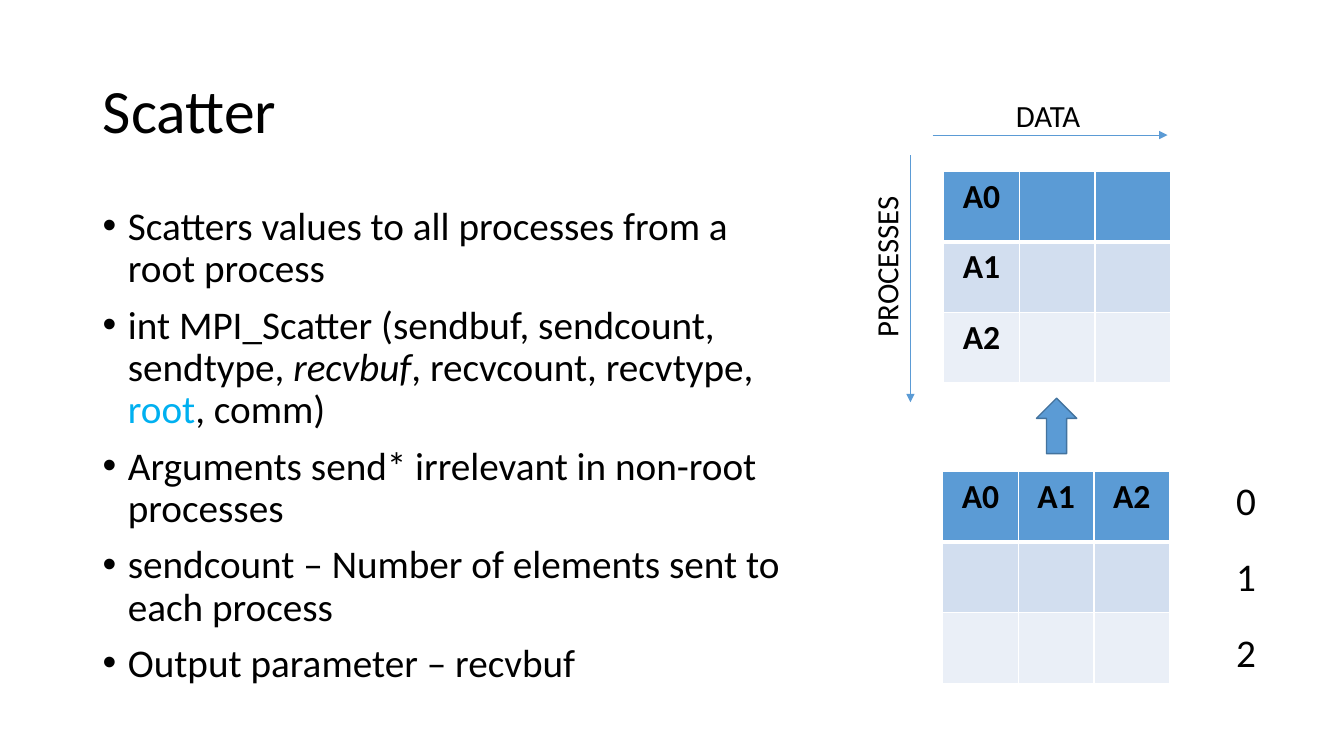
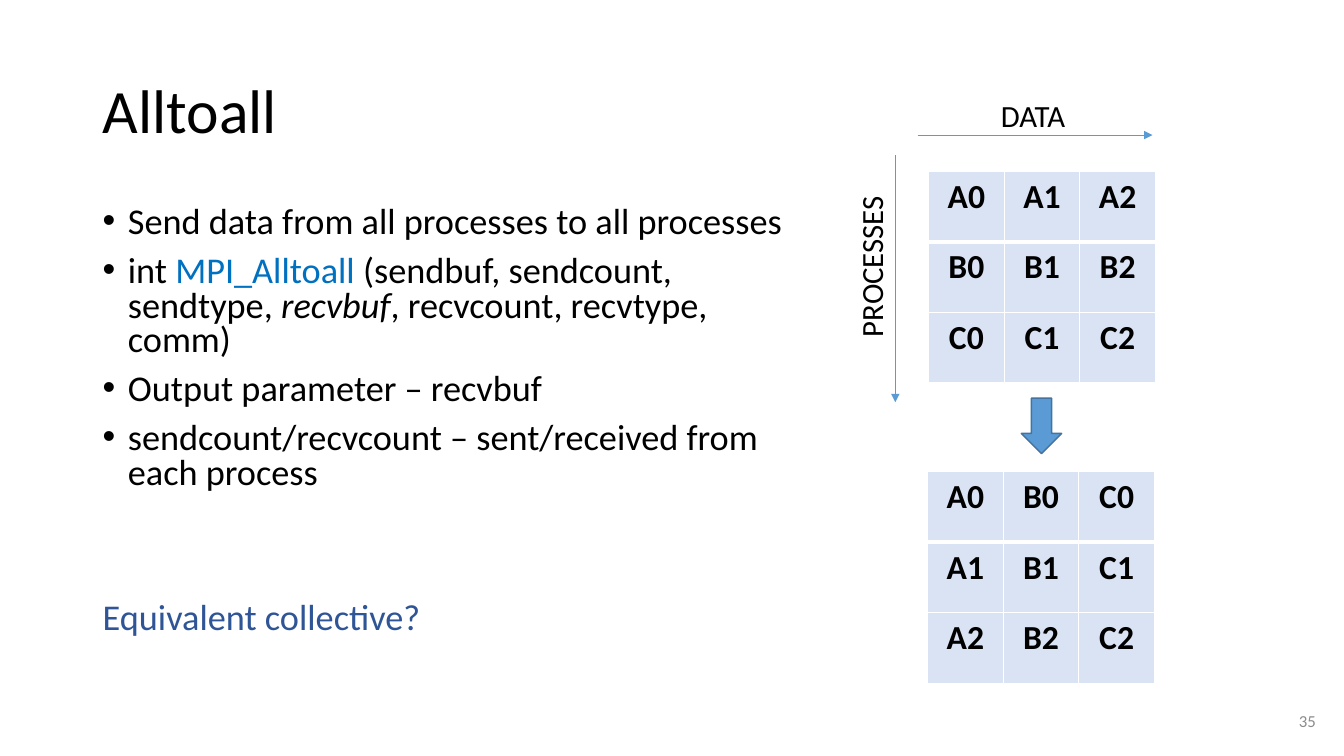
from lxml import etree
from pptx import Presentation
from pptx.dml.color import RGBColor
from pptx.enum.shapes import MSO_CONNECTOR, MSO_SHAPE
from pptx.enum.text import MSO_ANCHOR, PP_ALIGN
from pptx.oxml.ns import qn
from pptx.util import Inches, Pt

LEFT, CENTER, RIGHT = PP_ALIGN.LEFT, PP_ALIGN.CENTER, PP_ALIGN.RIGHT
MIDDLE, TOP = MSO_ANCHOR.MIDDLE, MSO_ANCHOR.TOP
UP, DOWN = MSO_SHAPE.UP_ARROW, MSO_SHAPE.DOWN_ARROW
STRAIGHT = MSO_CONNECTOR.STRAIGHT

# Shared look
FONT = "Calibri"
COLORS = {
    "text": "000000", "white": "FFFFFF", "accent": "5B9BD5", "outline": "43739E",
    "band": "D2DEEF", "light": "EAEFF7", "pale": "DAE3F3", "cyan": "00B0F0",
    "blue": "0070C0", "navy": "2F5597", "grey": "8C8C8C",
}
MARGIN, CELL_W, CELL_H = 0.92, 0.75, 0.7
UPPER_Y, LOWER_Y = 1.7, 4.68

# Content: a paragraph is a list of (text, colour, italic) runs
SLIDES = [
    {
        "title": "Scatter",
        "bullets": [
            [("Scatters values to all processes from a root process",)],
            [("int MPI_Scatter (sendbuf, sendcount, sendtype, ",), ("recvbuf", "text", True),
             (", recvcount, recvtype, ",), ("root", "cyan"), (", comm)",)],
            [("Arguments send* irrelevant in non-root processes",)],
            [("sendcount – Number of elements sent to each process",)],
            [("Output parameter – recvbuf",)],
        ],
        "body": {"width": 7.08, "size": 28, "spacing": 0.9},
        "grid_x": 9.36,
        "upper": [["A0", "", ""], ["A1", "", ""], ["A2", "", ""]],
        "lower": [["A0", "A1", "A2"], ["", "", ""], ["", "", ""]],
        "fills": ["accent", "band", "light"],
        "arrow": UP,
        "ranks": ["0", "1", "2"],
    },
    {
        "title": "Alltoall",
        "bullets": [
            [("Send data from all processes to all processes",)],
            [("int ",), ("MPI_Alltoall", "blue"), (" (sendbuf, sendcount, sendtype, ",),
             ("recvbuf", "text", True), (", recvcount, recvtype, comm)",)],
            [("Output parameter – recvbuf",)],
            [("sendcount/recvcount – sent/received from each process",)],
        ],
        "question": [("Equivalent collective?", "navy")],
        "body": {"width": 7.24, "size": 25.9, "spacing": 0.8},
        "grid_x": 9.21,
        "upper": [[f"{row}{col}" for col in range(3)] for row in "ABC"],
        "lower": [[f"{col}{row}" for col in "ABC"] for row in range(3)],
        "fills": ["pale"] * 3,
        "arrow": DOWN,
        "number": "35",
    },
]


def rgb(name):
    return RGBColor.from_string(COLORS[name])


def add_run(p, text, size, color="text", italic=False, bold=False):
    r = p.add_run()
    r.text = text
    f = r.font
    f.name, f.size, f.italic, f.bold = FONT, Pt(size), italic, bold
    f.color.rgb = rgb(color)


def add_label(s, box, text, size, color="text", align=CENTER, anchor=TOP):
    sp = s.shapes.add_textbox(*map(Inches, box))
    tf = sp.text_frame
    tf.word_wrap = False
    tf.vertical_anchor = anchor
    tf.paragraphs[0].alignment = align
    add_run(tf.paragraphs[0], text, size, color)
    return sp


def set_title(s, text):
    sp = s.shapes.title
    sp.left, sp.top, sp.width, sp.height = map(Inches, (MARGIN, 0.4, 11.5, 1.45))
    tf = sp.text_frame
    tf.vertical_anchor = MIDDLE
    p = tf.paragraphs[0]
    p.alignment, p.line_spacing = LEFT, 0.9
    add_run(p, text, 44)


def set_bullet(p):
    pPr = p._p.get_or_add_pPr()
    pPr.set("marL", str(Inches(0.25)))
    pPr.set("indent", str(-Inches(0.25)))
    etree.SubElement(pPr, qn("a:buFont")).set("typeface", "Arial")
    etree.SubElement(pPr, qn("a:buChar")).set("char", "•")


def add_body(s, bullets, question, width, size, spacing):
    sp = s.shapes.add_textbox(*map(Inches, (MARGIN, 2, width, 4.76)))
    tf = sp.text_frame
    tf.word_wrap = True
    paragraphs = [(runs, True) for runs in bullets]
    if question:
        paragraphs.append((question, False))
    for i, (runs, bulleted) in enumerate(paragraphs):
        p = tf.add_paragraph() if i else tf.paragraphs[0]
        if bulleted:
            set_bullet(p)
        p.line_spacing = spacing
        if i:
            p.space_before = Pt(10 if bulleted else 79)
        for text, *style in runs:
            add_run(p, text, size, *style)


def set_borders(cell, row):
    tcPr = cell._tc.get_or_add_tcPr()
    widths = {"L": 1, "R": 1, "T": 3 if row == 1 else 1, "B": 3 if row == 0 else 1}
    for i, (side, width) in enumerate(widths.items()):
        ln = etree.Element(qn(f"a:ln{side}"), w=str(Pt(width)))
        fill = etree.SubElement(ln, qn("a:solidFill"))
        etree.SubElement(fill, qn("a:srgbClr")).set("val", COLORS["white"])
        tcPr.insert(i, ln)


def add_grid(s, x, y, rows, fills):
    n_rows, n_cols = len(rows), len(rows[0])
    box = (x, y, n_cols * CELL_W, n_rows * CELL_H)
    table = s.shapes.add_table(n_rows, n_cols, *map(Inches, box)).table
    for i, row in enumerate(rows):
        for j, text in enumerate(row):
            cell = table.cell(i, j)
            cell.fill.solid()
            cell.fill.fore_color.rgb = rgb(fills[i])
            set_borders(cell, i)
            if text:
                p = cell.text_frame.paragraphs[0]
                p.alignment = CENTER
                add_run(p, text, 24, bold=True)


def add_axis(s, *ends):
    c = s.shapes.add_connector(STRAIGHT, *map(Inches, ends))
    c.line.color.rgb = rgb("accent")
    c.line.width = Pt(0.5)
    etree.SubElement(c.line._get_or_add_ln(), qn("a:tailEnd")).set("type", "triangle")
    etree.SubElement(c._element.spPr, qn("a:effectLst"))


def add_diagram(s, x, upper, lower, fills, arrow):
    # Buffers before and after the call
    add_grid(s, x - 0.01, LOWER_Y, lower, fills)
    add_grid(s, x, UPPER_Y, upper, fills)
    sp = s.shapes.add_shape(arrow, *map(Inches, (x + 0.92, 3.95, 0.4, 0.55)))
    sp.shadow.inherit = False
    sp.fill.solid()
    sp.fill.fore_color.rgb = rgb("accent")
    sp.line.color.rgb = rgb("outline")
    sp.line.width = Pt(1)
    # Axes
    add_axis(s, x - 0.11, 1.34, x + 2.22, 1.34)
    add_label(s, (x + 0.61, 0.91, 0.85, 0.47), "DATA", 22)
    add_axis(s, x - 0.33, 1.54, x - 0.33, 3.99)
    add_label(s, (x - 1.38, 2.41, 1.62, 0.47), "PROCESSES", 22).rotation = 270


def main():
    prs = Presentation()
    prs.slide_width, prs.slide_height = Inches(13.33), Inches(7.5)
    for data in SLIDES:
        s = prs.slides.add_slide(prs.slide_layouts[5])
        set_title(s, data["title"])
        add_body(s, data["bullets"], data.get("question"), **data["body"])
        add_diagram(s, data["grid_x"], data["upper"], data["lower"],
                    data["fills"], data["arrow"])
        for i, rank in enumerate(data.get("ranks", [])):
            add_label(s, (12.16, LOWER_Y + i * CELL_W, 0.4, 0.57), rank, 28)
        if "number" in data:
            add_label(s, (9.42, 6.95, 3.73, 0.4), data["number"], 12, "grey", RIGHT, MIDDLE)
    prs.save("out.pptx")


if __name__ == "__main__":
    main()
